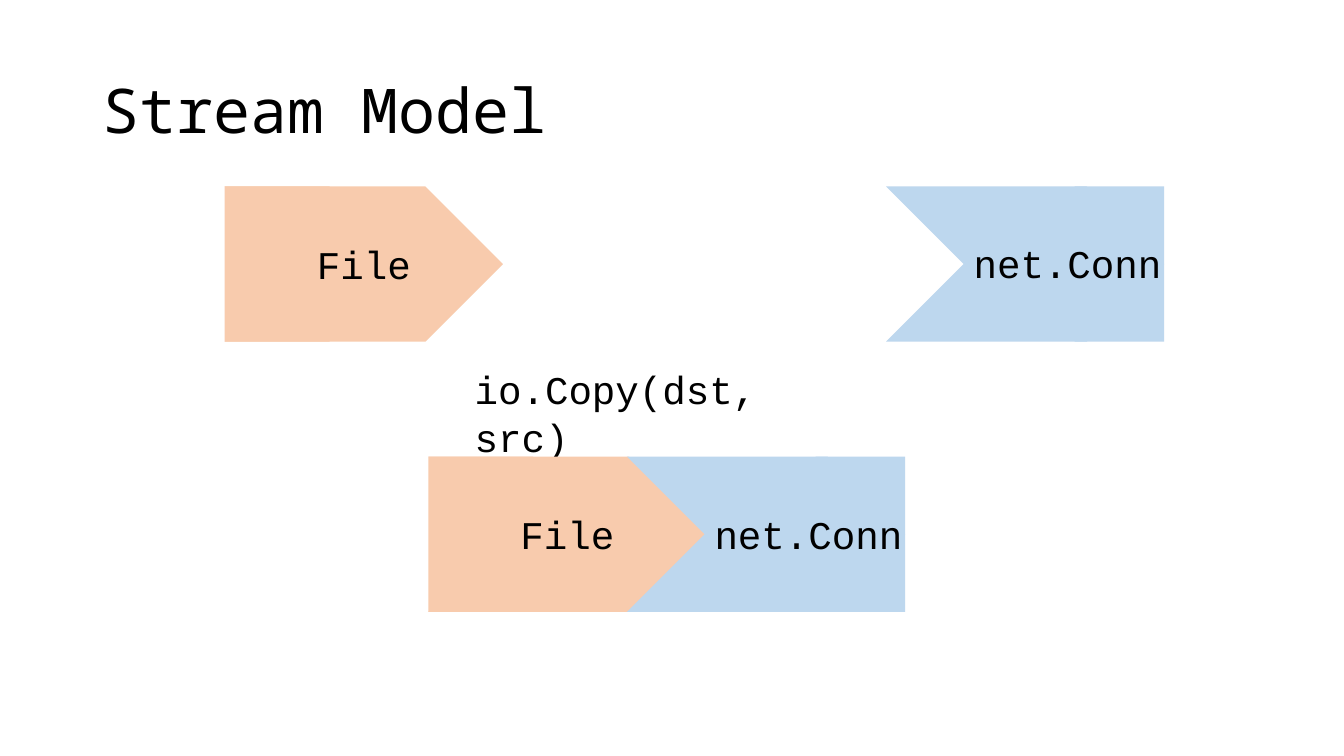
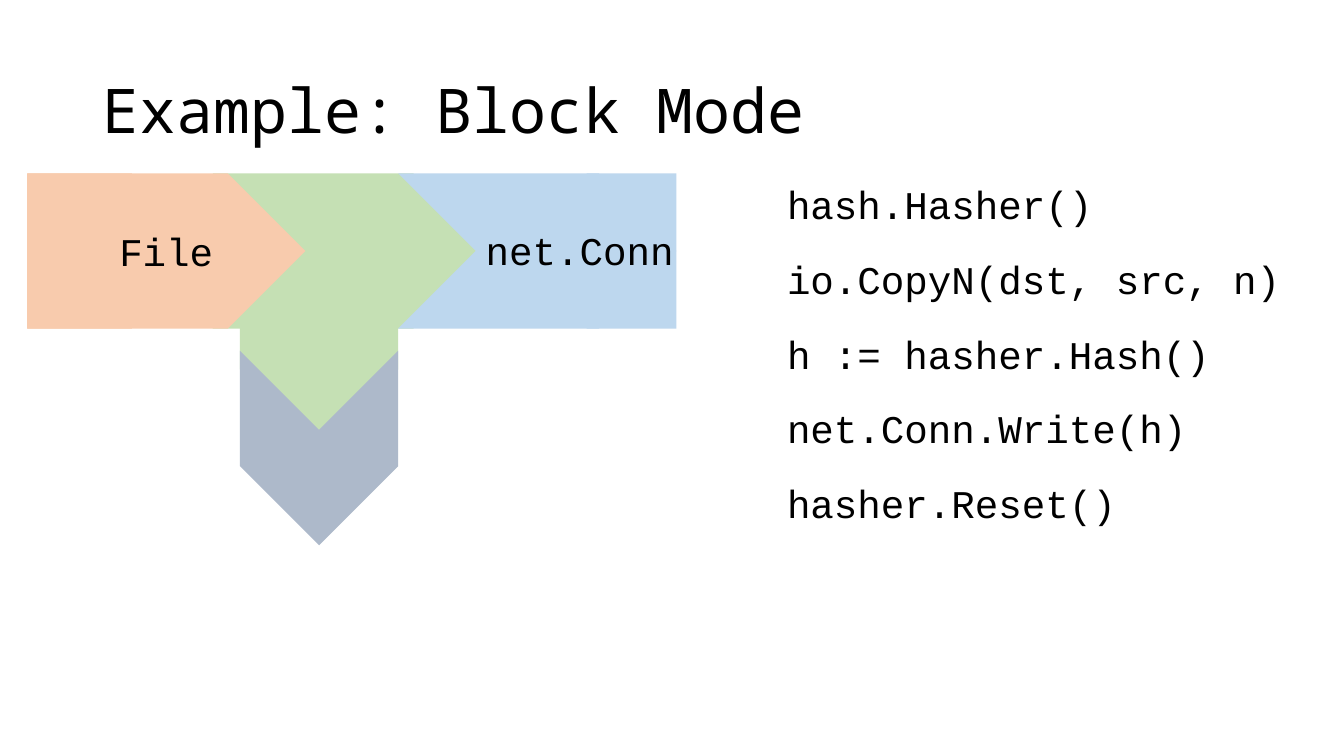
from dataclasses import dataclass

from pptx import Presentation
from pptx import util as u
from pptx.dml import color
from pptx.enum import shapes as kinds, text

CELL = 0.1  # inches per grid column and row
COLUMNS, ROWS = 133.33, 75
COLOURS = {
    "text": "000000",
    "source": "F8CBAD",
    "sink": "BDD7EE",
    "filter": "C5E0B4",
    "hash": "ADB9CA",
}
TITLE = {"name": "Noto Sans Mono", "size": u.Pt(44)}
CODE = {"name": "Courier New", "size": u.Pt(28)}
PRESET = kinds.MSO_SHAPE
ARROW_WIDTH, ARROW_HEIGHT = 27.6, 15.4
LINE_HEIGHT = 5.7


@dataclass
class Box:
    """A rectangle in grid columns and rows."""
    left: float
    top: float
    width: float
    height: float

    def inner(self, left, top, width, height):
        return Box(self.left + left, self.top + top, width, height)

    def turned(self):
        """The box whose quarter turn covers this one."""
        shift = (self.width - self.height) / 2
        return Box(self.left + shift, self.top - shift, self.height, self.width)

    def lengths(self):
        return [u.Inches(cells * CELL)
                for cells in (self.left, self.top, self.width, self.height)]


PAGE = Box(0, 0, COLUMNS, ROWS)


def arrow_box(left, top):
    return PAGE.inner(left, top, ARROW_WIDTH, ARROW_HEIGHT)


def write(shape, words, style, **paragraph_format):
    paragraph = shape.text_frame.paragraphs[0]
    for name, value in paragraph_format.items():
        setattr(paragraph, name, value)
    run = paragraph.add_run()
    run.text = words
    for name, value in style.items():
        setattr(run.font, name, value)
    run.font.color.rgb = color.RGBColor.from_string(COLOURS["text"])


def add_text(shapes, box, words, style, anchor=text.MSO_ANCHOR.TOP, **paragraph_format):
    shape = shapes.add_textbox(*box.lengths())
    shape.text_frame.word_wrap = True
    shape.text_frame.vertical_anchor = anchor
    write(shape, words, style, **paragraph_format)


def add_block(shapes, preset, box, colour):
    shape = shapes.add_shape(preset, *box.lengths())
    shape.shadow.inherit = False
    shape.fill.solid()
    shape.fill.fore_color.rgb = color.RGBColor.from_string(COLOURS[colour])
    shape.line.fill.background()
    return shape


def add_down_block(shapes, preset, box, colour):
    add_block(shapes, preset, box.turned(), colour).rotation = 90


def add_source(shapes, box):
    """Arrow with a flat left end."""
    add_block(shapes, PRESET.RECTANGLE, box.inner(0, 0, 10.4, box.height), "source")
    chevron = add_block(shapes, PRESET.CHEVRON, box, "source")
    chevron.text_frame.vertical_anchor = text.MSO_ANCHOR.MIDDLE
    write(chevron, "File", CODE, alignment=text.PP_ALIGN.CENTER)


def add_sink(shapes, box):
    """Notched block with a flat right end."""
    flat = 8.9
    add_block(shapes, PRESET.RECTANGLE,
              box.inner(box.width - flat, 0, flat, box.height), "sink")
    add_block(shapes, PRESET.CHEVRON, box, "sink")
    add_text(shapes, box.inner(7.7, 4.8, 25.1, LINE_HEIGHT), "net.Conn", CODE)


def add_filter(shapes, box):
    """Chevron with a branch pointing down."""
    add_block(shapes, PRESET.CHEVRON, box, "filter")
    add_down_block(shapes, PRESET.PENTAGON, box.inner(2.7, 13.4, 15.7, 12.1), "filter")


def add_code(shapes, box, lines):
    pitch = box.height / len(lines)
    for row, line in enumerate(lines):
        add_text(shapes, box.inner(0, row * pitch, box.width, LINE_HEIGHT), line, CODE)


def add_titled_slide(presentation, title):
    slide = presentation.slides.add_slide(presentation.slide_layouts[6])
    add_text(slide.shapes, PAGE.inner(9.2, 4, 115, 14.5), title, TITLE,
             text.MSO_ANCHOR.MIDDLE, line_spacing=0.9)
    return slide.shapes


def add_stream_model(presentation):
    shapes = add_titled_slide(presentation, "Stream Model")
    add_source(shapes.add_group_shape().shapes, arrow_box(22.3, 18.5))
    add_sink(shapes.add_group_shape().shapes, arrow_box(87.9, 18.5))
    add_text(shapes, PAGE.inner(46.1, 35.8, 41.1, LINE_HEIGHT), "io.Copy(dst, src)", CODE)
    joined = shapes.add_group_shape().shapes
    add_source(joined, arrow_box(42.5, 45.3))
    add_sink(joined, arrow_box(62.2, 45.3))


def add_block_mode(presentation):
    shapes = add_titled_slide(presentation, "Example: Block Mode")
    pipeline = shapes.add_group_shape().shapes
    top = 17.2
    add_filter(pipeline, arrow_box(21.1, top))
    add_source(pipeline, arrow_box(2.7, top))
    add_sink(pipeline, arrow_box(39.5, top))
    add_down_block(shapes, PRESET.CHEVRON, PAGE.inner(23.8, 34.8, 15.7, 19.3), "hash")
    add_code(shapes, PAGE.inner(77.1, 17.4, 56, 37.1), [
        "hash.Hasher()",
        "io.CopyN(dst, src, n)",
        "h := hasher.Hash()",
        "net.Conn.Write(h)",
        "hasher.Reset()",
    ])


def main():
    presentation = Presentation()
    presentation.slide_width = u.Inches(COLUMNS * CELL)
    presentation.slide_height = u.Inches(ROWS * CELL)
    add_stream_model(presentation)
    add_block_mode(presentation)
    presentation.save("out.pptx")


if __name__ == "__main__":
    main()
